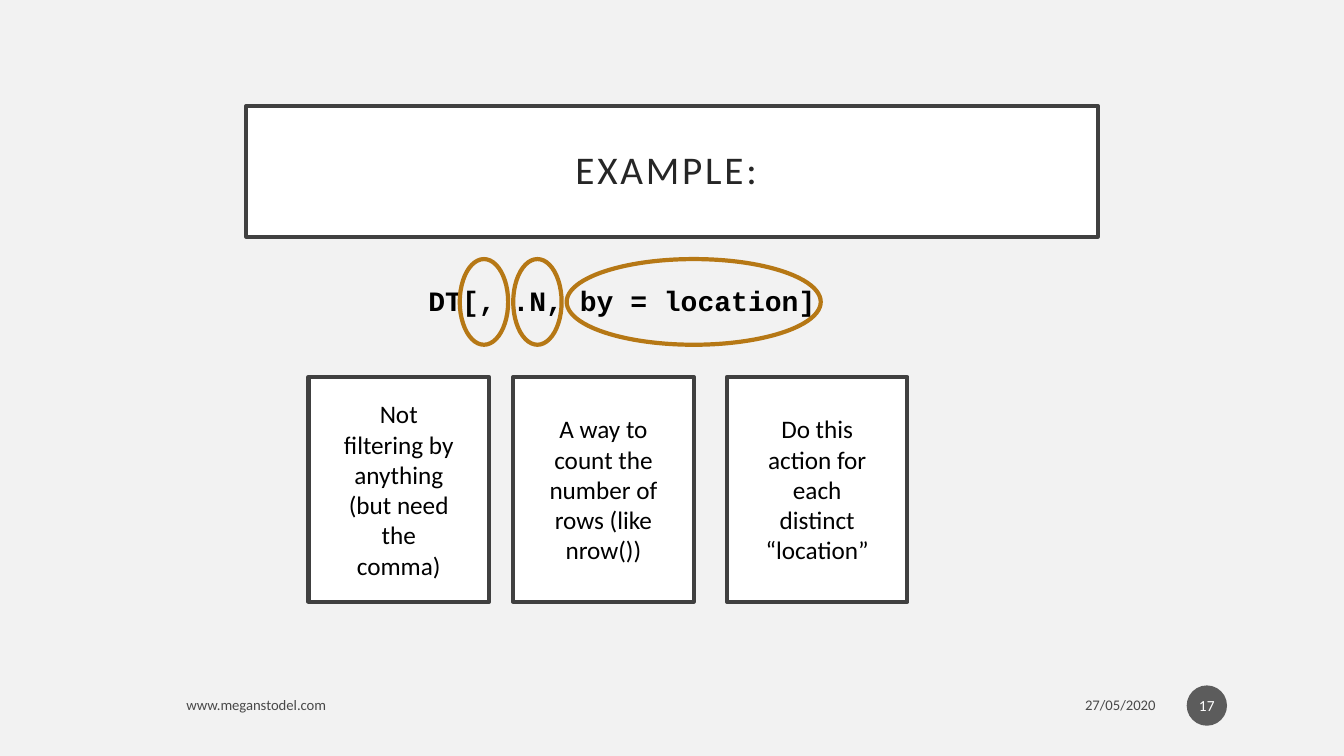
from lxml.etree import SubElement
from pptx import Presentation
from pptx.dml.color import RGBColor
from pptx.enum.shapes import MSO_SHAPE
from pptx.enum.text import MSO_ANCHOR, PP_ALIGN
from pptx.oxml.ns import qn
from pptx.util import Inches, Pt

WHITE, BLACK, BORDER, HIGHLIGHT = "FFFFFF", "000000", "404040", "B67815"
CARD_TOP, CARD_WIDTH, CARD_HEIGHT = 3.74, 1.79, 2.23
RING_TOP, RING_HEIGHT = 2.57, 0.85
FOOTER_TOP, FOOTER_HEIGHT = 6.82, 0.35
MUTED_OPACITY = 70

CODE_PARTS = [
    (4.56, 0.48, 3.06, "Not filtering by anything (but need the comma)"),
    (5.09, 0.48, 5.09, "A way to count the number of rows (like nrow())"),
    (5.62, 2.52, 7.21, "Do this action for each distinct “location”"),
]


def paint(fill, color, opacity=100):
    """Give a fill a solid colour, see-through below 100 percent opacity."""
    fill.solid()
    fill.fore_color.rgb = RGBColor.from_string(color)
    if opacity < 100:
        solid = fill._xPr.find(qn("a:solidFill"))
        SubElement(solid[0], qn("a:alpha"), val=str(opacity * 1000))


def add_outline(slide, preset, box, fill=None, line=None, width=0, opacity=100):
    """Add a preset shape with the given fill and border."""
    shape = slide.shapes.add_shape(preset, *map(Inches, box))
    shape.shadow.inherit = False
    if fill:
        paint(shape.fill, fill, opacity)
    else:
        shape.fill.background()
    if line:
        paint(shape.line.fill, line)
        shape.line.width = Pt(width)
    else:
        shape.line.fill.background()
    return shape


def write(shape, text, size, color=BLACK, font="Calibri", bold=False, opacity=100,
          align=PP_ALIGN.CENTER, anchor=MSO_ANCHOR.MIDDLE, insets=(0.1, 0.05)):
    """Write one paragraph in a shape and return its run."""
    frame = shape.text_frame
    frame.word_wrap = True
    frame.vertical_anchor = anchor
    frame.margin_left = frame.margin_right = Inches(insets[0])
    frame.margin_top = frame.margin_bottom = Inches(insets[1])
    paragraph = frame.paragraphs[0]
    paragraph.alignment = align
    run = paragraph.add_run()
    run.text = text
    run.font.size = Pt(size)
    run.font.name = font
    run.font.bold = bold
    paint(run.font.fill, color, opacity)
    return run


def add_title(slide, text):
    """Add the framed, letter-spaced heading."""
    frame = add_outline(slide, MSO_SHAPE.RECTANGLE, (2.44, 1.05, 8.45, 1.3),
                        WHITE, BORDER, 2.5)
    run = write(frame, text, 28, "262626", insets=(0.2, 0.2))
    run.font._rPr.set("spc", "200")
    frame.text_frame.paragraphs[0].line_spacing = 0.9


def add_code(slide, code):
    """Add the line of code."""
    line = slide.shapes.add_textbox(*map(Inches, (1.01, 2.76, 10.32, 0.44)))
    write(line, code, 20, font="Courier New", bold=True, anchor=MSO_ANCHOR.TOP)


def add_card(slide, left, explanation):
    """Add a bordered explanation of one part of the code."""
    card = add_outline(slide, MSO_SHAPE.RECTANGLE,
                       (left, CARD_TOP, CARD_WIDTH, CARD_HEIGHT), WHITE, BORDER, 3)
    write(card, explanation, 18, insets=(0.3, 0.2))


def add_ring(slide, left, width):
    """Circle one part of the code."""
    add_outline(slide, MSO_SHAPE.OVAL, (left, RING_TOP, width, RING_HEIGHT),
                line=HIGHLIGHT, width=3)


def add_footer(slide, left, width, text, align):
    """Add a muted footer text."""
    footer = slide.shapes.add_textbox(
        *map(Inches, (left, FOOTER_TOP, width, FOOTER_HEIGHT)))
    write(footer, text, 10.5, opacity=MUTED_OPACITY, align=align)


def add_page_number(slide, number):
    """Add the page number in its disc."""
    disc = add_outline(slide, MSO_SHAPE.OVAL, (11.77, 6.8, 0.4, 0.4),
                       "1D1D1D", opacity=MUTED_OPACITY)
    write(disc, number, 11, WHITE, insets=(0.02, 0.05))


def main():
    """Build and save the slide."""
    deck = Presentation()
    deck.slide_width, deck.slide_height = Inches(13.33), Inches(7.5)
    slide = deck.slides.add_slide(deck.slide_layouts[6])
    paint(slide.background.fill, "F2F2F2")

    add_title(slide, "EXAMPLE: ")
    add_code(slide, "DT[, .N, by = location]")
    for ring_left, ring_width, card_left, explanation in CODE_PARTS:
        add_ring(slide, ring_left, ring_width)
        add_card(slide, card_left, explanation)
    add_footer(slide, 1.75, 6.45, "www.meganstodel.com", PP_ALIGN.LEFT)
    add_footer(slide, 8.55, 3.01, "27/05/2020", PP_ALIGN.RIGHT)
    add_page_number(slide, "17")

    deck.save("out.pptx")


if __name__ == "__main__":
    main()
